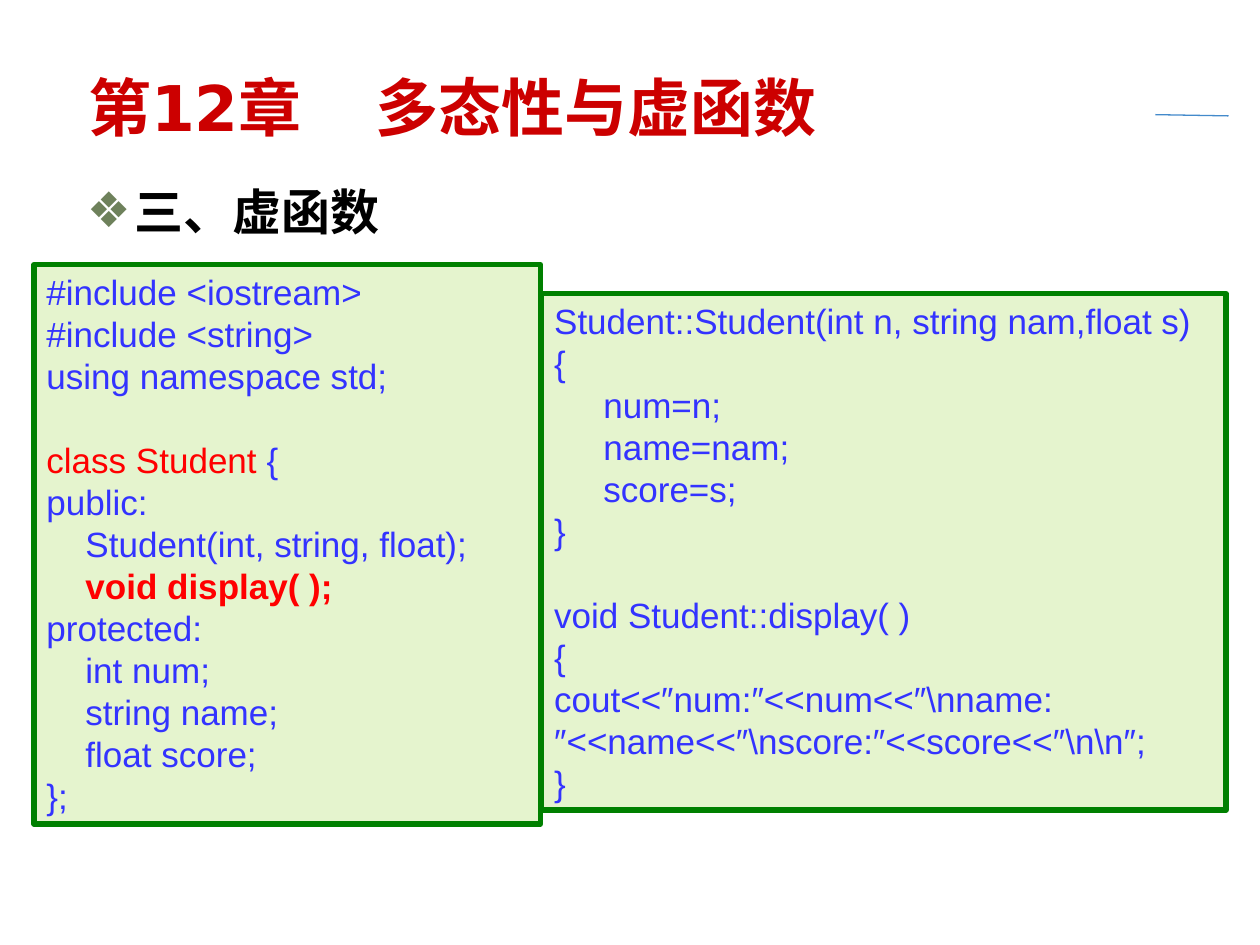
from lxml import etree
from pptx import Presentation
from pptx.dml.color import RGBColor
from pptx.enum.shapes import MSO_CONNECTOR, MSO_SHAPE
from pptx.enum.text import MSO_ANCHOR, MSO_AUTO_SIZE, PP_ALIGN
from pptx.oxml.ns import qn
from pptx.util import Inches, Pt

LEFT = PP_ALIGN.LEFT
TOP, MIDDLE = MSO_ANCHOR.TOP, MSO_ANCHOR.MIDDLE
RECTANGLE = MSO_SHAPE.RECTANGLE
STRAIGHT = MSO_CONNECTOR.STRAIGHT
GROW = MSO_AUTO_SIZE.SHAPE_TO_FIT_TEXT

TITLE_RED = RGBColor(0xCC, 0x00, 0x00)
BLACK = RGBColor(0x00, 0x00, 0x00)
CODE_BLUE = RGBColor(0x33, 0x33, 0xFF)
KEY_RED = RGBColor(0xFF, 0x00, 0x00)
PANEL_GREEN = RGBColor(0xE5, 0xF4, 0xCE)
BORDER_GREEN = RGBColor(0x00, 0x80, 0x00)
BULLET_GREEN = RGBColor(0x6E, 0x81, 0x5B)
RULE_BLUE = RGBColor(0x43, 0x8A, 0xCB)

HEADING_FONT, CODE_FONT = "DejaVu Sans", "Arial"
LINE_PITCH = Pt(24)

TITLE = "第12章\t多态性与虚函数"
TITLE_TAB = 2.28
TOPIC = "三、虚函数"

PANELS = [
    {
        "at": (0.27, 2.1, 4.02, 4.44),
        "indent": 0.31,
        "blocks": [
            ["#include <iostream>", "#include <string>", "using namespace std;"],
            [
                "class Student {",
                "public:",
                "\tStudent(int, string, float);",
                "\tvoid display( );",
                "protected:",
                "\tint num;",
                "\tstring name;",
                "\tfloat score;",
                "};",
            ],
        ],
    },
    {
        "at": (4.3, 2.33, 5.43, 4.1),
        "indent": 0.39,
        "blocks": [
            [
                "Student::Student(int n, string nam,float s)",
                "{",
                "\tnum=n;",
                "\tname=nam;",
                "\tscore=s;",
                "}",
            ],
            [
                "void Student::display( )",
                "{",
                "cout<<″num:″<<num<<″\\nname:″<<name<<″\\nscore:″<<score<<″\\n\\n″;",
                "}",
            ],
        ],
    },
]
KEY_PHRASES = {"class Student ": False, "void display( );": True}


def place(shape, left, top, width, height):
    shape.left, shape.top = Inches(left), Inches(top)
    shape.width, shape.height = Inches(width), Inches(height)


def set_font(font, name, size, color, bold=False):
    font.name, font.size, font.bold = name, Pt(size), bold
    font.color.rgb = color


def add_heading(shape, text, size, color, anchor):
    frame = shape.text_frame
    frame.word_wrap = True
    frame.vertical_anchor = anchor
    frame.text = text
    para = frame.paragraphs[0]
    para.alignment = LEFT
    set_font(para.font, HEADING_FONT, size, color, True)
    return para


def add_tab_stop(para, position):
    stops = etree.SubElement(para._p.get_or_add_pPr(), qn("a:tabLst"))
    etree.SubElement(stops, qn("a:tab"), pos=str(Inches(position)), algn="l")


def add_bullet(para, symbol, color, indent):
    props = para._p.get_or_add_pPr()
    props.set("marL", str(Inches(indent)))
    props.set("indent", str(-Inches(indent)))
    bullet_color = etree.SubElement(props, qn("a:buClr"))
    etree.SubElement(bullet_color, qn("a:srgbClr"), val=str(color))
    etree.SubElement(props, qn("a:buChar"), char=symbol)


def add_code_line(para, line, indent):
    para.alignment = LEFT
    para.line_spacing = LINE_PITCH
    set_font(para.font, CODE_FONT, 20, CODE_BLUE)
    code = line.lstrip("\t")
    if code != line:
        para._p.get_or_add_pPr().set("marL", str(Inches(indent)))
    for phrase, bold in KEY_PHRASES.items():
        if code.startswith(phrase):
            span = para.add_run()
            span.text = phrase
            span.font.color.rgb = KEY_RED
            span.font.bold = bold
            code = code[len(phrase):]
    if code:
        para.add_run().text = code


def add_panel(page, panel):
    box = page.shapes.add_shape(RECTANGLE, *map(Inches, panel["at"]))
    box.shadow.inherit = False
    box.fill.solid()
    box.fill.fore_color.rgb = PANEL_GREEN
    box.line.color.rgb = BORDER_GREEN
    box.line.width = Pt(3)
    frame = box.text_frame
    frame.word_wrap = True
    frame.auto_size = GROW
    frame.vertical_anchor = TOP
    para = frame.paragraphs[0]
    for block_index, block in enumerate(panel["blocks"]):
        for line_index, line in enumerate(block):
            if block_index or line_index:
                para = frame.add_paragraph()
            add_code_line(para, line, panel["indent"])
            if block_index and not line_index:
                para.space_before = LINE_PITCH


def main():
    deck = Presentation()
    deck.slide_width, deck.slide_height = Inches(10), Inches(7.5)
    page = deck.slides.add_slide(deck.slide_layouts[1])

    title, body = page.shapes.title, page.placeholders[1]
    place(title, 0.6, 0.53, 8.49, 0.62)
    add_tab_stop(add_heading(title, TITLE, 36, TITLE_RED, MIDDLE), TITLE_TAB)

    place(body, 0.59, 1.39, 9.14, 5.75)
    topic = add_heading(body, TOPIC, 28, BLACK, TOP)
    topic.space_before = Pt(7)
    add_bullet(topic, "❖", BULLET_GREEN, 0.38)

    rule = page.shapes.add_connector(STRAIGHT, *map(Inches, (9.17, 0.91, 9.75, 0.92)))
    rule.line.color.rgb = RULE_BLUE
    rule.line.width = Pt(0.75)
    etree.SubElement(rule._element.spPr, qn("a:effectLst"))

    for panel in PANELS:
        add_panel(page, panel)

    deck.save("out.pptx")


if __name__ == "__main__":
    main()
